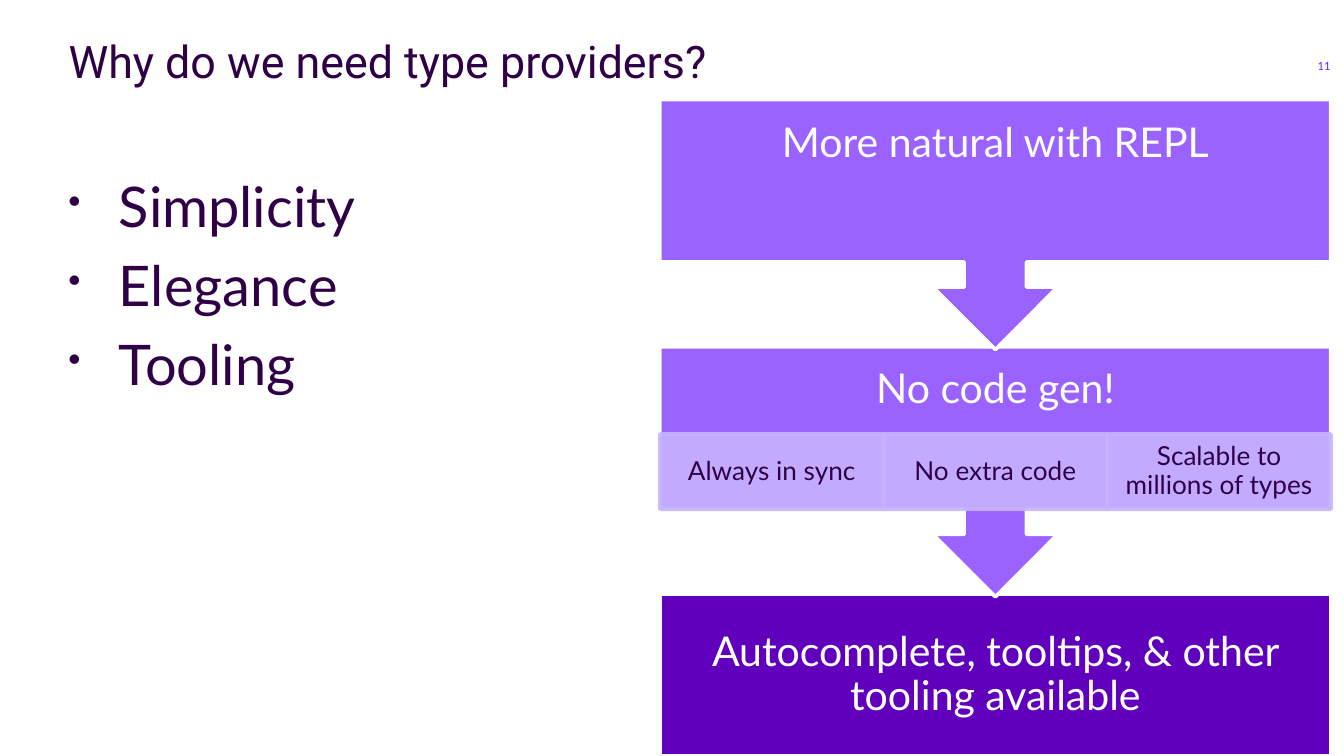
"""Build a slide on why type providers are needed, with a three-step flow."""
from lxml import etree
from pptx import Presentation
from pptx.dml.color import RGBColor
from pptx.enum import shapes, text
from pptx.oxml import ns
from pptx.util import Pt

TITLE = "Why do we need type providers?"
PAGE_NUMBER = "11"
REASONS = ["Simplicity", "Elegance", "Tooling"]
STEPS = [
    {"text": "More natural with REPL", "anchor": "TOP", "details": []},
    {"text": "No code gen!", "anchor": "MIDDLE",
     "details": ["Always in sync", "No extra code", "Scalable to millions of types"]},
    {"text": "Autocomplete, tooltips, & other tooling available",
     "anchor": "MIDDLE", "details": []},
]
THEME = {
    "ink": "300047", "white": "FFFFFF", "number": "6322FA",
    "step": "9A62FF", "last": "6000BD", "detail": "C7B4FF",
    "heading": "Roboto", "body": "Lato",
    "title_size": 24, "reason_size": 30, "step_size": 22,
    "detail_size": 14, "number_size": 6,
}
FLOW_LEFT, FLOW_TOP, FLOW_WIDTH = 353.5, 53.3, 359.5
STEP_PITCH, CALLOUT_HEIGHT, BODY_HEIGHT = 132.45, 134, 87
DETAIL_OFFSET, DETAIL_HEIGHT = 46.8, 40.3
STEP_INSET = 12.25


def color(name):
    return RGBColor.from_string(THEME[name])


def place(item, left, top, width, height):
    item.left, item.top = Pt(left), Pt(top)
    item.width, item.height = Pt(width), Pt(height)


def set_frame(frame, insets=(0, 0, 0, 0), anchor="TOP"):
    frame.word_wrap = True
    frame.auto_size = text.MSO_AUTO_SIZE.NONE
    frame.vertical_anchor = getattr(text.MSO_ANCHOR, anchor)
    (frame.margin_left, frame.margin_top,
     frame.margin_right, frame.margin_bottom) = map(Pt, insets)


def write(para, words, size, ink="ink", font="body", align="LEFT", spacing=None):
    para.alignment = getattr(text.PP_ALIGN, align)
    if spacing:
        para.line_spacing = spacing
    span = para.add_run()
    span.text = words
    span.font.size = Pt(THEME[size])
    span.font.name = THEME[font]
    span.font.color.rgb = color(ink)


def add_text_box(page, *area):
    box = page.shapes.add_textbox(*map(Pt, area))
    set_frame(box.text_frame)
    return box.text_frame


def add_block(page, kind, area, fill, line, words, size, ink, insets, anchor="MIDDLE"):
    box = page.shapes.add_shape(kind, *map(Pt, area))
    box.shadow.inherit = False
    box.fill.solid()
    box.fill.fore_color.rgb = color(fill)
    box.line.color.rgb = color(line)
    box.line.width = Pt(2)
    set_frame(box.text_frame, insets, anchor)
    write(box.text_frame.paragraphs[0], words, size, ink, align="CENTER", spacing=0.9)
    return box


def set_opacity(box, percent):
    for swatch in box._element.spPr.iter(ns.qn("a:srgbClr")):
        etree.SubElement(swatch, ns.qn("a:alpha")).set("val", str(percent * 1000))


def add_bullet(para, indent, hanging, percent):
    props = para._p.get_or_add_pPr()
    props.set("marL", str(Pt(indent)))
    props.set("indent", str(-Pt(hanging)))
    etree.SubElement(props, ns.qn("a:buSzPct")).set("val", str(percent * 1000))
    etree.SubElement(props, ns.qn("a:buChar")).set("char", "•")


def add_step(page, index, step):
    is_last = index == len(STEPS) - 1
    top = FLOW_TOP + index * STEP_PITCH
    kind = shapes.MSO_SHAPE.RECTANGLE if is_last else shapes.MSO_SHAPE.DOWN_ARROW_CALLOUT
    height = BODY_HEIGHT if is_last else CALLOUT_HEIGHT
    bottom = STEP_INSET + (DETAIL_HEIGHT if step["details"] else 0)
    add_block(page, kind, (FLOW_LEFT, top, FLOW_WIDTH, height),
              "last" if is_last else "step", "white", step["text"], "step_size", "white",
              (STEP_INSET, STEP_INSET, STEP_INSET, bottom), step["anchor"])
    for column, words in enumerate(step["details"]):
        width = FLOW_WIDTH / len(step["details"])
        area = (FLOW_LEFT + column * width, top + DETAIL_OFFSET, width, DETAIL_HEIGHT)
        cell = add_block(page, shapes.MSO_SHAPE.RECTANGLE, area, "detail", "detail",
                         words, "detail_size", "ink", (8, 1.4, 8, 1.4))
        set_opacity(cell, 90)


deck = Presentation()
deck.slide_width, deck.slide_height = Pt(720), Pt(405)
page = deck.slides.add_slide(deck.slide_layouts[5])

title = page.shapes.title
place(title, 18.7, 18, 605, 67.7)
set_frame(title.text_frame, (18, 0, 0, 0))
write(title.text_frame.paragraphs[0], TITLE, "title_size", font="heading")

number = add_text_box(page, 655, 31.7, 57.8, 21.6)
write(number.paragraphs[0], PAGE_NUMBER, "number_size", "number", align="RIGHT")

reasons = add_text_box(page, 18.7, 95.8, 324, 277)
for index, reason in enumerate(REASONS):
    para = reasons.add_paragraph() if index else reasons.paragraphs[0]
    para.space_before = Pt(10)
    write(para, reason, "reason_size", spacing=0.9)
    add_bullet(para, 45, 27, 65)

for index, step in reversed(list(enumerate(STEPS))):
    add_step(page, index, step)

deck.save("out.pptx")
